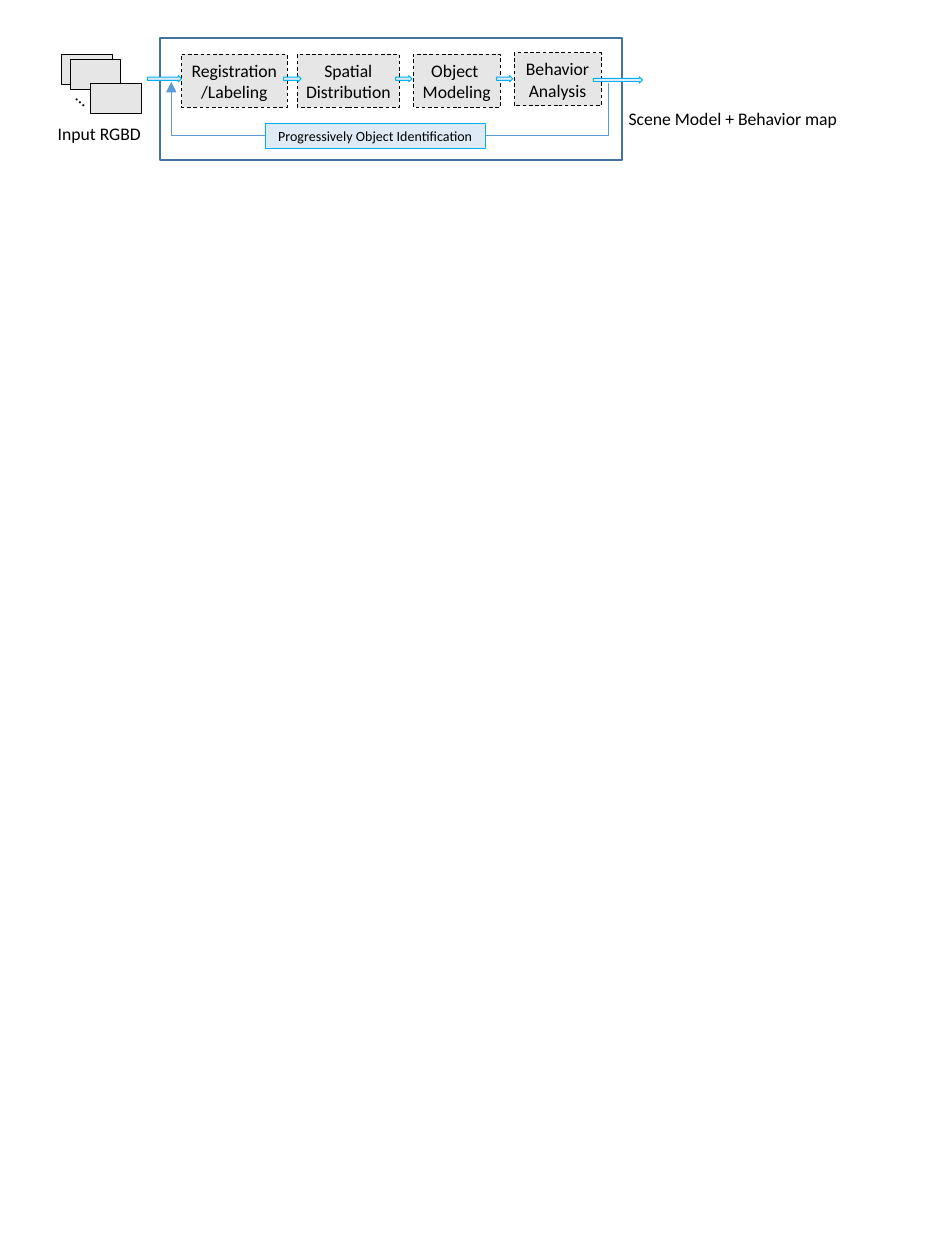
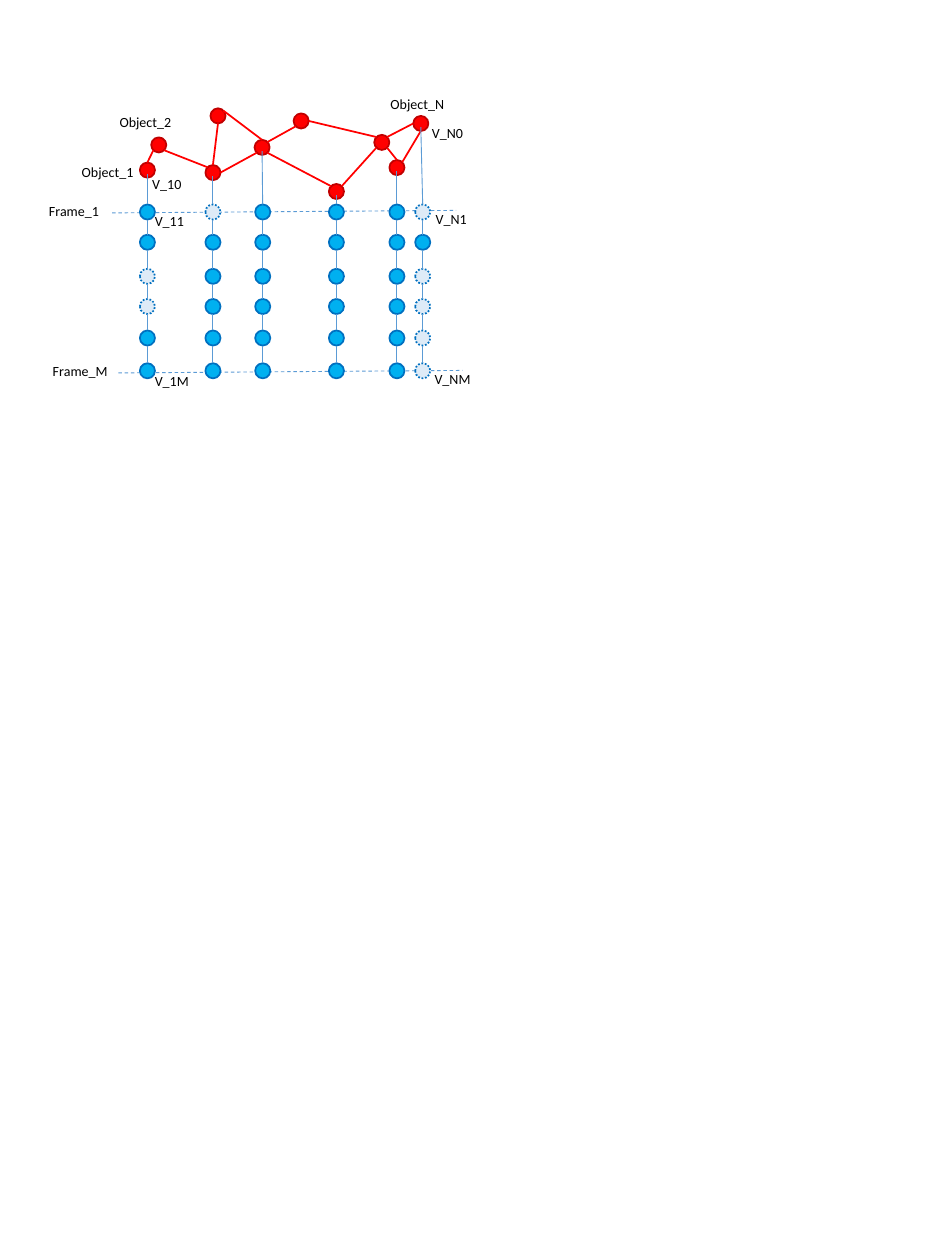
from dataclasses import dataclass
from math import sqrt

from lxml import etree
from pptx import Presentation
from pptx import util as u
from pptx.dml.color import RGBColor
from pptx.enum import dml, shapes, text
from pptx.oxml.ns import qn

# The grid: 75 columns by 100 rows on a slide of 7.5 by 10 inches.
CELL = u.Inches(0.1)
COLUMNS, ROWS = 75, 100

FONT = "Calibri"
LARGE, SMALL = 10.1, 8
BLACK, GREY = "000000", "E7E6E6"
PALE, SKY, BLUE, STEEL, NAVY = "DEEBF7", "00B0F0", "0070C0", "5B9BD5", "43739E"
RED, DARK_RED = "FF0000", "C00000"
DASH, DOT = dml.MSO_LINE.DASH, dml.MSO_LINE.ROUND_DOT
SHAPE = shapes.MSO_SHAPE

DOT_SIZE = 1.2
RADIUS = DOT_SIZE / 2
SLANT = RADIUS / sqrt(2)
SITES = {
    "N": (0, -RADIUS), "E": (RADIUS, 0), "S": (0, RADIUS), "W": (-RADIUS, 0),
    "NE": (SLANT, -SLANT), "SE": (SLANT, SLANT),
    "SW": (-SLANT, SLANT), "NW": (-SLANT, -SLANT),
}


@dataclass
class Box:
    """A region in grid cells; inner boxes are placed from its top left corner."""
    left: float
    top: float
    width: float = 0
    height: float = 0

    def inner(self, x, y, width=0, height=0):
        return Box(self.left + x, self.top + y, width, height)

    def emu(self):
        return [round(n * CELL) for n in (self.left, self.top, self.width, self.height)]


def color(value):
    return RGBColor.from_string(value)


def style_line(line, stroke, weight, dash=None):
    line.color.rgb = color(stroke)
    line.width = u.Pt(weight)
    if dash:
        line.dash_style = dash


def write(frame, words, size, align=None):
    frame.word_wrap = True
    for index, line in enumerate(words.split("\n")):
        paragraph = frame.add_paragraph() if index else frame.paragraphs[0]
        paragraph.alignment = align
        run = paragraph.add_run()
        run.text = line
        run.font.name, run.font.size = FONT, u.Pt(size)
        run.font.color.rgb = color(BLACK)


def add_figure(target, kind, box, fill, stroke, weight=0.5, dash=None):
    figure = target.add_shape(kind, *box.emu())
    figure.shadow.inherit = False
    if fill:
        figure.fill.solid()
        figure.fill.fore_color.rgb = color(fill)
    else:
        figure.fill.background()
    style_line(figure.line, stroke, weight, dash)
    return figure


def add_caption_box(target, box, words, size, fill, stroke, dash=None):
    figure = add_figure(target, SHAPE.RECTANGLE, box, fill, stroke, dash=dash)
    frame = figure.text_frame
    frame.margin_left = frame.margin_right = u.Inches(0.06)
    frame.margin_top = frame.margin_bottom = u.Inches(0.03)
    frame.vertical_anchor = text.MSO_ANCHOR.MIDDLE
    write(frame, words, size, text.PP_ALIGN.CENTER)


def add_label(target, box, words, size):
    label = target.add_textbox(*box.emu())
    write(label.text_frame, words, size)
    label.text_frame.auto_size = text.MSO_AUTO_SIZE.SHAPE_TO_FIT_TEXT
    return label


def add_link(target, start, end, stroke, weight=0.5, dash=None,
             kind=shapes.MSO_CONNECTOR.STRAIGHT):
    link = target.add_connector(kind, *start.emu()[:2], *end.emu()[:2])
    style_line(link.line, stroke, weight, dash)
    etree.SubElement(link._element.spPr, qn("a:effectLst"))
    return link


def add_return_path(target, start, end, bottom):
    """Elbow arrow that drops from start to bottom, runs left and rises to end."""
    link = add_link(target, start, end, STEEL, kind=shapes.MSO_CONNECTOR.ELBOW)
    rise, run = start.top - end.top, start.left - end.left
    middle = Box((start.left + end.left) / 2, (start.top + end.top) / 2)
    turned = middle.inner(-rise / 2, -run / 2, rise, run)
    link.left, link.top, link.width, link.height = turned.emu()
    properties = link._element.spPr
    frame = properties.find(qn("a:xfrm"))
    frame.attrib.clear()
    frame.set("rot", "5400000")
    frame.set("flipH", "1")
    geometry = properties.find(qn("a:prstGeom"))
    geometry.set("prst", "bentConnector4")
    guides = geometry.find(qn("a:avLst"))
    bends = (start.top - bottom.top) / rise, 1
    for number, bend in enumerate(bends, 1):
        etree.SubElement(guides, qn("a:gd"), name=f"adj{number}",
                         fmla=f"val {round(bend * 100000)}")
    etree.SubElement(properties.find(qn("a:ln")), qn("a:tailEnd"), type="triangle")


def draw_input(target, box):
    stack = target.add_group_shape().shapes
    for x, y in [(1.3, 0), (2, 0.4), (3.6, 2.3)]:
        add_figure(stack, SHAPE.RECTANGLE, box.inner(x, y, 4, 2.4), GREY, BLACK)
    add_label(stack, box.inner(1.7, 1.9, 2.1, 2.7), "…", LARGE).rotation = 41
    add_label(target, box.inner(0, 5, 9.7, 2.7), "Input RGBD", LARGE)


def draw_pipeline(target, box):
    stages = [
        (1.7, 1.3, 8.4, "Registration/Labeling"),
        (10.9, 1.3, 8.1, "Spatial Distribution"),
        (20.1, 1.3, 6.9, "Object \nModeling"),
        (28.1, 1.2, 6.9, "Behavior Analysis"),
    ]
    for x, y, width, words in stages:
        add_caption_box(target, box.inner(x, y, width, 4.2), words, LARGE,
                        GREY, BLACK, DASH)
    add_return_path(target, box.inner(35.6, 3.6), box.inner(0.9, 3.5),
                    box.inner(0, 7.8))
    add_caption_box(target, box.inner(8.4, 6.8, 17.4, 2),
                    "Progressively Object Identification", SMALL, PALE, SKY)
    add_figure(target, SHAPE.RECTANGLE, box, None, NAVY, 1)
    arrows = [(-1, 3, 2.7), (9.8, 3, 1.4), (18.7, 3, 1.3), (26.7, 3, 1.3),
              (34.4, 3.1, 3.9)]
    for x, y, width in arrows:
        add_figure(target, SHAPE.RIGHT_ARROW, box.inner(x, y, width, 0.5), PALE, SKY)


def draw_object_graph(target, box, nodes):
    """Red nodes, joined from one compass site to another."""
    for x, y in nodes.values():
        add_figure(target, SHAPE.OVAL, box.inner(x, y, DOT_SIZE, DOT_SIZE),
                   RED, DARK_RED, 1)
    edges = [
        "low NE hub SW", "right N hub SE", "hub NE last W", "right NE last S",
        "center NE crest SW", "crest E hub NW", "valley N peak S",
        "valley E center SW", "peak NE center N", "center SE low NW",
        "second SE valley NW", "first N second SW",
    ]

    def site(name, side):
        x, y = nodes[name]
        dx, dy = SITES[side]
        return box.inner(x + RADIUS + dx, y + RADIUS + dy)

    for edge in edges:
        start, start_side, end, end_side = edge.split()
        add_link(target, site(start, start_side), site(end, end_side), RED, 1)


def draw_track(target, box, head, seen):
    """One object's dots down the frames; a "." in seen marks a missed frame."""
    track = target.add_group_shape().shapes
    steps = [0, 2.4, 5.1, 7.5, 10, 12.6]
    above = head
    for step, mark in zip(steps, seen):
        missed = mark == "."
        add_figure(track, SHAPE.OVAL, box.inner(0, step, DOT_SIZE, DOT_SIZE),
                   PALE if missed else SKY, BLUE, 1, DOT if missed else None)
        add_link(track, above, box.inner(RADIUS, step), STEEL)
        above = box.inner(RADIUS, step + DOT_SIZE)


def draw_frame_line(target, box):
    add_link(target, box, box.inner(box.width, -0.2), STEEL, dash=DASH)


def build_pipeline_slide(slide):
    draw_input(slide.shapes, Box(3.6, 4.3))
    draw_pipeline(slide.shapes, Box(12.7, 3, 36.7, 9.7))
    add_label(slide.shapes, Box(48.9, 8.1, 18.9, 2.7),
              "Scene Model + Behavior map", LARGE)


def build_graph_slide(slide):
    graph = Box(11.1, 8.6)
    nodes = {
        "second": (0.9, 2.3), "peak": (5.6, 0), "valley": (5.2, 4.5),
        "low": (15, 6), "crest": (12.2, 0.4), "center": (9.1, 2.5),
        "first": (0, 4.3), "hub": (18.6, 2.1), "last": (21.7, 0.6),
        "right": (19.8, 4.1),
    }
    tracks = [
        ("first", 0, "oo..oo"), ("valley", 5.2, ".ooooo"), ("low", 15, "oooooo"),
        ("right", 19.8, "oooooo"), ("last", 21.85, ".o...."),
        ("center", 9.15, "oooooo"),
    ]
    labels = [
        (2.9, 15.6, "Frame_1"), (3.2, 28.3, "Frame_M"), (5.5, 12.5, "Object_1"),
        (8.5, 8.5, "Object_2"), (30, 7.1, "Object_N"), (11.1, 13.4, "V_10"),
        (11.3, 16.4, "V_11"), (11.3, 29.1, "V_1M"), (33.3, 9.4, "V_N0"),
        (33.6, 16.2, "V_N1"), (33.5, 28.9, "V_NM"),
    ]
    for x, y in [(9.4, 29.6), (8.9, 16.9)]:
        draw_frame_line(slide.shapes, Box(x, y, 27.3))
    draw_object_graph(slide.shapes, graph, nodes)
    for name, x, seen in tracks:
        node_x, node_y = nodes[name]
        head = graph.inner(node_x + RADIUS, node_y + 0.9)
        draw_track(slide.shapes, graph.inner(x, 7.63), head, seen)
    for x, y, words in labels:
        add_label(slide.shapes, Box(x, y, 8.2, 2.4), words, SMALL)


def main():
    deck = Presentation()
    deck.slide_width, deck.slide_height = COLUMNS * CELL, ROWS * CELL
    blank = deck.slide_layouts[6]
    for build in (build_pipeline_slide, build_graph_slide):
        build(deck.slides.add_slide(blank))
    deck.save("out.pptx")


if __name__ == "__main__":
    main()
